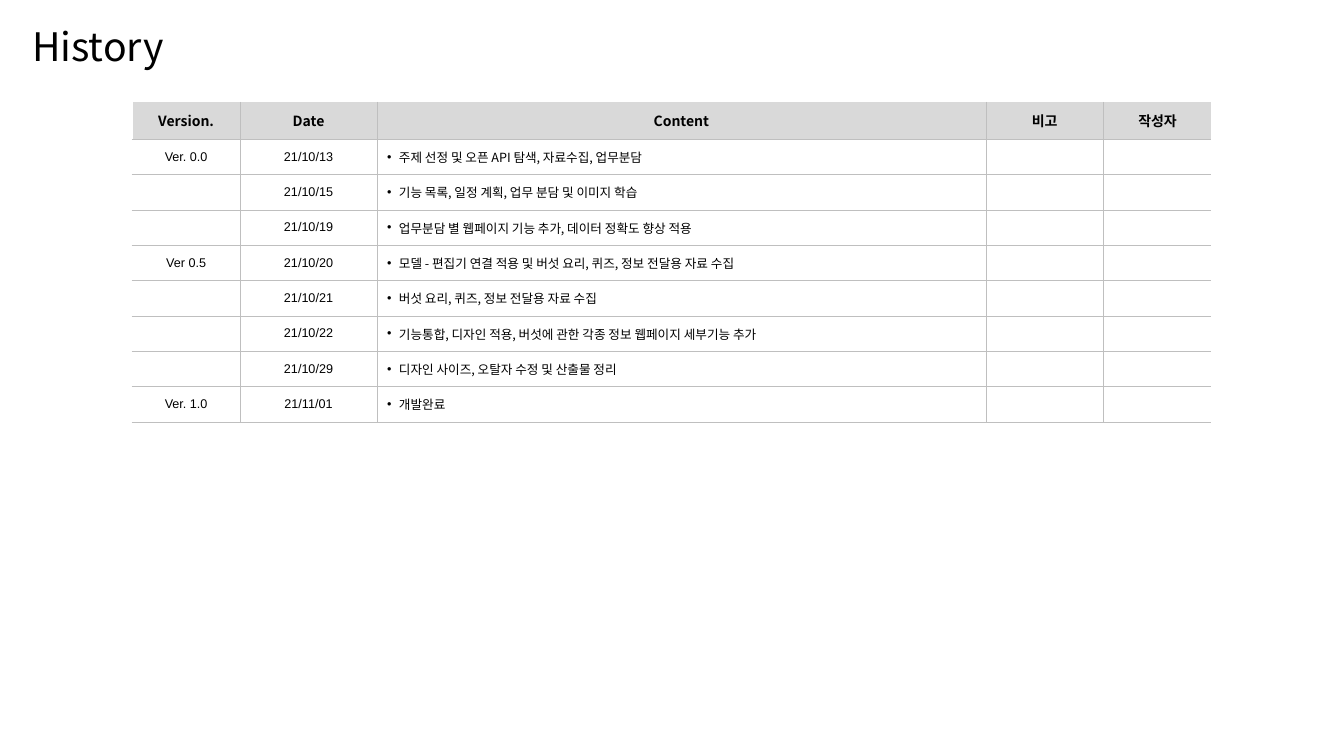
from pptx import Presentation
from pptx.dml.color import RGBColor
from pptx.enum import text
from pptx.oxml import ns
from pptx.util import Cm, Pt
from lxml import etree

TITLE = "History"
HEADERS = ["Version.", "Date", "Content", "비고", "작성자"]
HISTORY = [
    ("Ver. 0.0", "21/10/13", "주제 선정 및 오픈 API 탐색, 자료수집, 업무분담"),
    ("", "21/10/15", "기능 목록, 일정 계획, 업무 분담 및 이미지 학습"),
    ("", "21/10/19", "업무분담 별 웹페이지 기능 추가, 데이터 정확도 향상 적용"),
    ("Ver 0.5", "21/10/20", "모델 - 편집기 연결 적용 및 버섯 요리, 퀴즈, 정보 전달용 자료 수집"),
    ("", "21/10/21", "버섯 요리, 퀴즈, 정보 전달용 자료 수집"),
    ("", "21/10/22", "기능통합, 디자인 적용, 버섯에 관한 각종 정보 웹페이지 세부기능 추가"),
    ("", "21/10/29", "디자인 사이즈, 오탈자 수정 및 산출물 정리"),
    ("Ver. 1.0", "21/11/01", "개발완료"),
]
COLUMN_WIDTHS = [Cm(2.72), Cm(3.45), Cm(15.34), Cm(2.97), Cm(2.72)]
HEADER_HEIGHT, ROW_HEIGHT = Cm(0.94), Cm(0.89)
TABLE_LEFT, TABLE_TOP = Cm(3.33), Cm(2.57)
BULLET_INDENT = Cm(0.3)
CONTENT_COLUMN = 2

BLACK = RGBColor(0x00, 0x00, 0x00)
WHITE = RGBColor(0xFF, 0xFF, 0xFF)
HEADER_GREY = RGBColor(0xD9, 0xD9, 0xD9)
LINE_GREY = RGBColor(0xBF, 0xBF, 0xBF)
SANS, ARIAL = "Noto Sans CJK KR", "Arial"
NO_STYLE = "{2D5ABB26-0587-4C30-8999-92F81FD0307C}"


def sub(parent, tag, **attrs):
    return etree.SubElement(parent, ns.qn(tag), {k: str(v) for k, v in attrs.items()})


def add_run(p, words, size, font, bold=False):
    r = p.add_run()
    r.text = words
    r.font.size, r.font.bold, r.font.name = Pt(size), bold, font
    r.font.color.rgb = BLACK
    sub(r.font._element, "a:ea", typeface=font)


def add_border(cell, side, color, width):
    """Draw one cell side; without a colour the side stays empty."""
    ln = sub(cell._tc.get_or_add_tcPr(), "a:" + side, w=Pt(width))
    if color is None:
        sub(ln, "a:noFill")
    else:
        sub(sub(ln, "a:solidFill"), "a:srgbClr", val=color)


def add_bullet(p):
    pPr = p._p.get_or_add_pPr()
    pPr.set("marL", str(BULLET_INDENT))
    pPr.set("indent", str(-BULLET_INDENT))
    sub(pPr, "a:buFont", typeface=ARIAL)
    sub(pPr, "a:buChar", char="•")


def fill_cell(cell, words, row, col):
    header = row == 0
    cell.vertical_anchor = text.MSO_ANCHOR.MIDDLE
    add_border(cell, "lnL", LINE_GREY if col else WHITE, 0.25 if col else 1)
    add_border(cell, "lnR", LINE_GREY if col < len(HEADERS) - 1 else None, 0.25)
    add_border(cell, "lnT", None if header else LINE_GREY, 0.25)
    add_border(cell, "lnB", LINE_GREY, 0.25)
    if header:
        cell.fill.solid()
        cell.fill.fore_color.rgb = HEADER_GREY
    else:
        cell.fill.background()
    p = cell.text_frame.paragraphs[0]
    if not words:
        sub(p._p, "a:endParaRPr", sz=900)
        return
    bulleted = col == CONTENT_COLUMN and not header
    if bulleted:
        add_bullet(p)
    else:
        p.alignment = text.PP_ALIGN.CENTER
    add_run(p, words, 10 if header else 9, SANS if header or bulleted else ARIAL, header)


def add_title(s):
    title = s.shapes.title
    title.left, title.top, title.width, title.height = Cm(0.56), Cm(0.43), Cm(31.72), Cm(1.6)
    tf = title.text_frame
    tf.vertical_anchor = text.MSO_ANCHOR.MIDDLE
    p = tf.paragraphs[0]
    p.alignment = text.PP_ALIGN.LEFT
    p.line_spacing = 0.9
    add_run(p, TITLE, 28, SANS)


def add_history(s):
    rows = [HEADERS] + [entry + ("", "") for entry in HISTORY]
    height = HEADER_HEIGHT + ROW_HEIGHT * len(HISTORY)
    table = s.shapes.add_table(len(rows), len(HEADERS), TABLE_LEFT, TABLE_TOP,
                               sum(COLUMN_WIDTHS), height).table
    table.horz_banding = False
    table._tbl.tblPr.find(ns.qn("a:tableStyleId")).text = NO_STYLE
    for column, width in zip(table.columns, COLUMN_WIDTHS):
        column.width = width
    for i, row in enumerate(rows):
        table.rows[i].height = ROW_HEIGHT if i else HEADER_HEIGHT
        for j, words in enumerate(row):
            fill_cell(table.cell(i, j), words, i, j)


def main():
    prs = Presentation()
    prs.slide_width, prs.slide_height = Cm(33.87), Cm(19.05)
    s = prs.slides.add_slide(prs.slide_layouts[5])
    add_title(s)
    add_history(s)
    prs.save("out.pptx")


if __name__ == "__main__":
    main()
